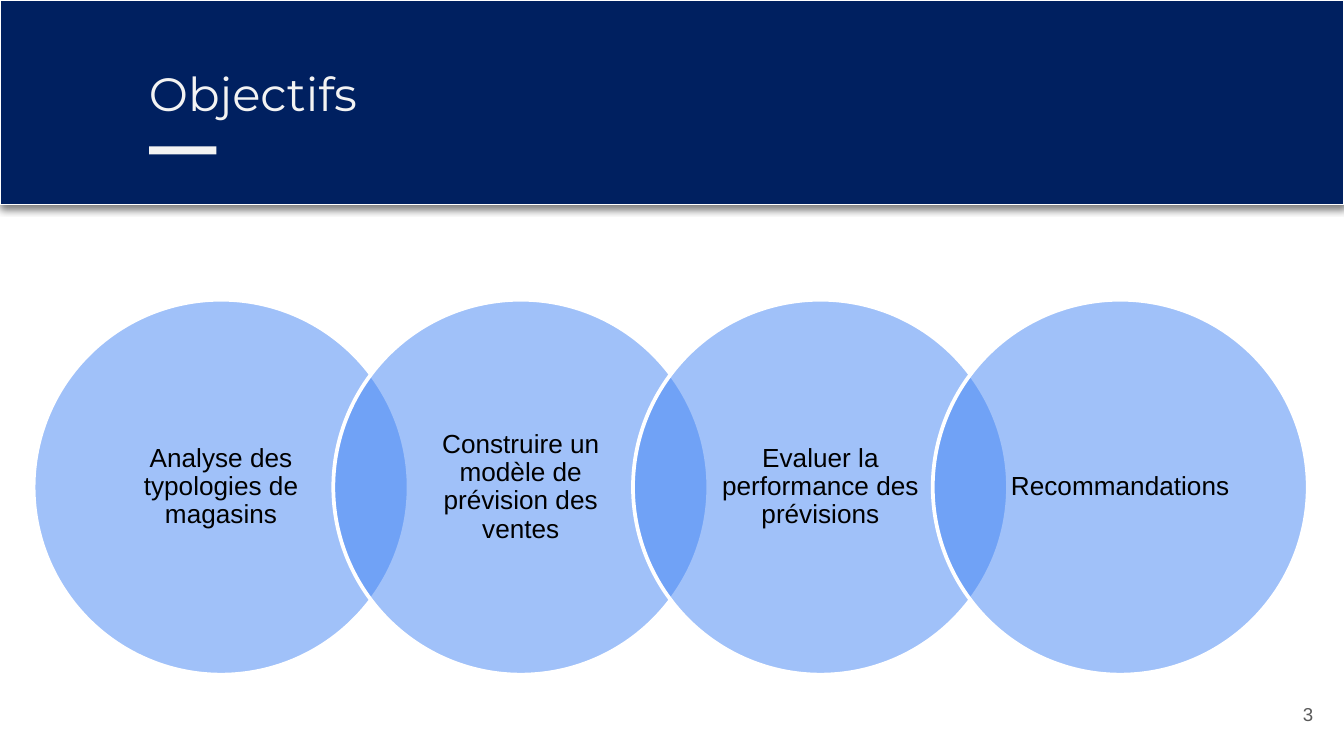
"""Build the "Objectifs" slide: a title banner above four overlapping circles."""
from dataclasses import dataclass

from lxml.etree import SubElement
from pptx import Presentation
from pptx.dml.color import RGBColor as Rgb
from pptx.enum.shapes import MSO_SHAPE as Shape
from pptx.enum.text import MSO_ANCHOR as Anchor, PP_ALIGN as Align
from pptx.oxml import parse_xml
from pptx.oxml.ns import nsdecls, qn
from pptx.util import Inches, Pt


@dataclass(frozen=True)
class Theme:
    navy: str = "002060"
    blue: str = "4285F4"
    white: str = "FFFFFF"
    pale: str = "F3F3F3"
    black: str = "000000"
    grey: str = "595959"
    title_font: str = "Montserrat"
    body_font: str = "Arial"
    title_size: float = 25
    goal_size: float = 14
    number_size: float = 10


@dataclass(frozen=True)
class Box:
    left: float
    top: float
    width: float
    height: float

    def lengths(self) -> tuple:
        return tuple(Inches(n) for n in (self.left, self.top, self.width, self.height))


@dataclass(frozen=True)
class Style:
    font: str
    size: float
    color: str
    align: Align = Align.LEFT
    anchor: Anchor = Anchor.TOP
    inset_x: float = 0.1
    inset_y: float = 0.1
    line_spacing: float = 1.0


THEME = Theme()
TITLE = Style(THEME.title_font, THEME.title_size, THEME.pale)
GOAL = Style(THEME.body_font, THEME.goal_size, THEME.black, Align.CENTER,
             Anchor.MIDDLE, 0.15, 0.02, 0.9)
NUMBER = Style(THEME.body_font, THEME.number_size, THEME.grey, Align.RIGHT, Anchor.MIDDLE)

GOALS = (
    "Analyse des typologies de magasins",
    "Construire un modèle de prévision des ventes",
    "Evaluer la performance des prévisions",
    "Recommandations",
)
CIRCLE_LEFT, CIRCLE_TOP, DIAMETER, STEP = 0.25, 2.23, 2.79, 2.23


def write(holder, text: str, style: Style) -> None:
    """Set and format the text of a shape or text box."""
    frame = holder.text_frame
    frame.text = text
    frame.word_wrap = True
    frame.vertical_anchor = style.anchor
    frame.margin_left = frame.margin_right = Inches(style.inset_x)
    frame.margin_top = frame.margin_bottom = Inches(style.inset_y)
    for paragraph in frame.paragraphs:
        paragraph.alignment = style.align
        paragraph.line_spacing = style.line_spacing
        for run in paragraph.runs:
            run.font.name = style.font
            run.font.size = Pt(style.size)
            run.font.color.rgb = Rgb.from_string(style.color)


def add_label(slide, box: Box, text: str, style: Style) -> None:
    """Add a text box."""
    write(slide.shapes.add_textbox(*box.lengths()), text, style)


def add_figure(slide, kind: Shape, box: Box, fill: str, line_width: float = 0):
    """Add a filled shape, with a white outline if a width is given."""
    figure = slide.shapes.add_shape(kind, *box.lengths())
    figure.shadow.inherit = False
    figure.fill.solid()
    figure.fill.fore_color.rgb = Rgb.from_string(fill)
    if line_width:
        figure.line.color.rgb = Rgb.from_string(THEME.white)
        figure.line.width = Pt(line_width)
    else:
        figure.line.fill.background()
    return figure


def add_drop_shadow(figure) -> None:
    """Cast a soft half-transparent shadow downwards."""
    effects = figure._element.spPr.find(qn("a:effectLst"))
    effects.append(parse_xml(
        f'<a:outerShdw {nsdecls("a")} blurRad="{Pt(4.5)}" dist="{Pt(1.5)}" '
        f'dir="5400000" algn="t" rotWithShape="0"><a:srgbClr val="{THEME.black}">'
        '<a:alpha val="50000"/></a:srgbClr></a:outerShdw>'))


def add_goal(slide, index: int, text: str) -> None:
    """Add one half-transparent circle of the chain with its goal."""
    box = Box(CIRCLE_LEFT + index * STEP, CIRCLE_TOP, DIAMETER, DIAMETER)
    circle = add_figure(slide, Shape.OVAL, box, THEME.blue, 2)
    color = circle._element.spPr.find(qn("a:solidFill")).find(qn("a:srgbClr"))
    SubElement(color, qn("a:alpha")).set("val", "50000")
    write(circle, text, GOAL)


def main() -> None:
    """Build and save the slide in 16:9 format."""
    deck = Presentation()
    deck.slide_width = Inches(10)
    deck.slide_height = Inches(10 * 9 / 16)
    slide = deck.slides.add_slide(deck.slide_layouts[6])

    add_label(slide, Box(9.27, 5.1, 0.6, 0.43), "3", NUMBER)
    banner = add_figure(slide, Shape.RECTANGLE, Box(0, 0, 10, 1.52), THEME.navy, 0.75)
    add_drop_shadow(banner)
    add_label(slide, Box(1.01, 0.38, 9.32, 0.63), "Objectifs", TITLE)
    add_figure(slide, Shape.RECTANGLE, Box(1.11, 1.09, 0.5, 0.06), THEME.pale)
    for index, goal in enumerate(GOALS):
        add_goal(slide, index, goal)

    deck.save("out.pptx")


if __name__ == "__main__":
    main()
